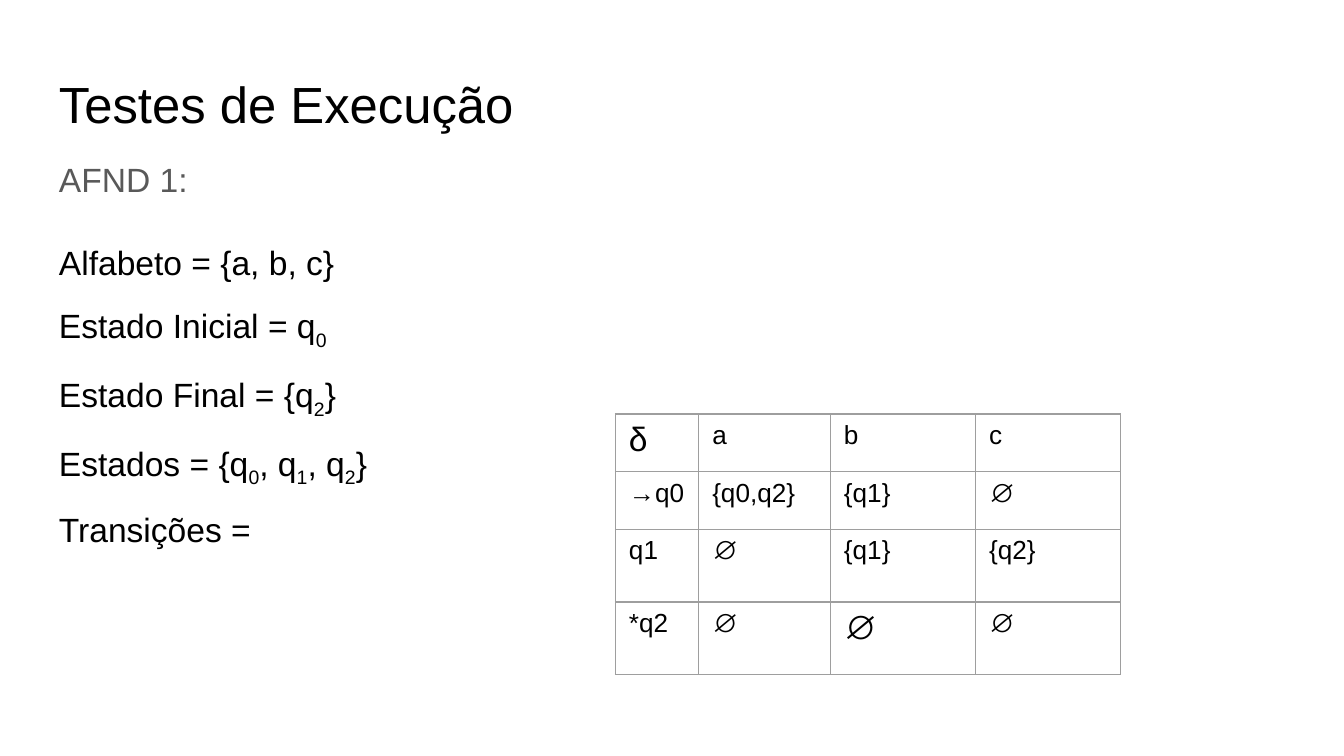
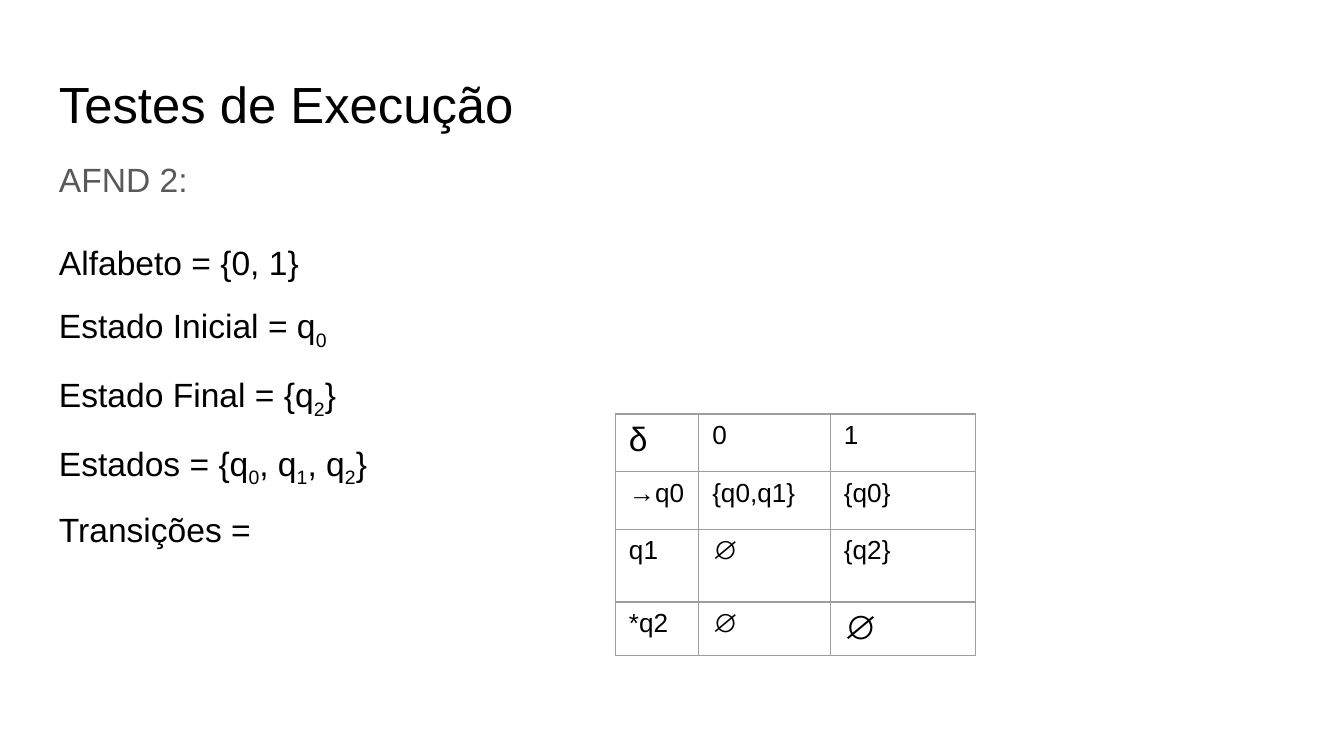
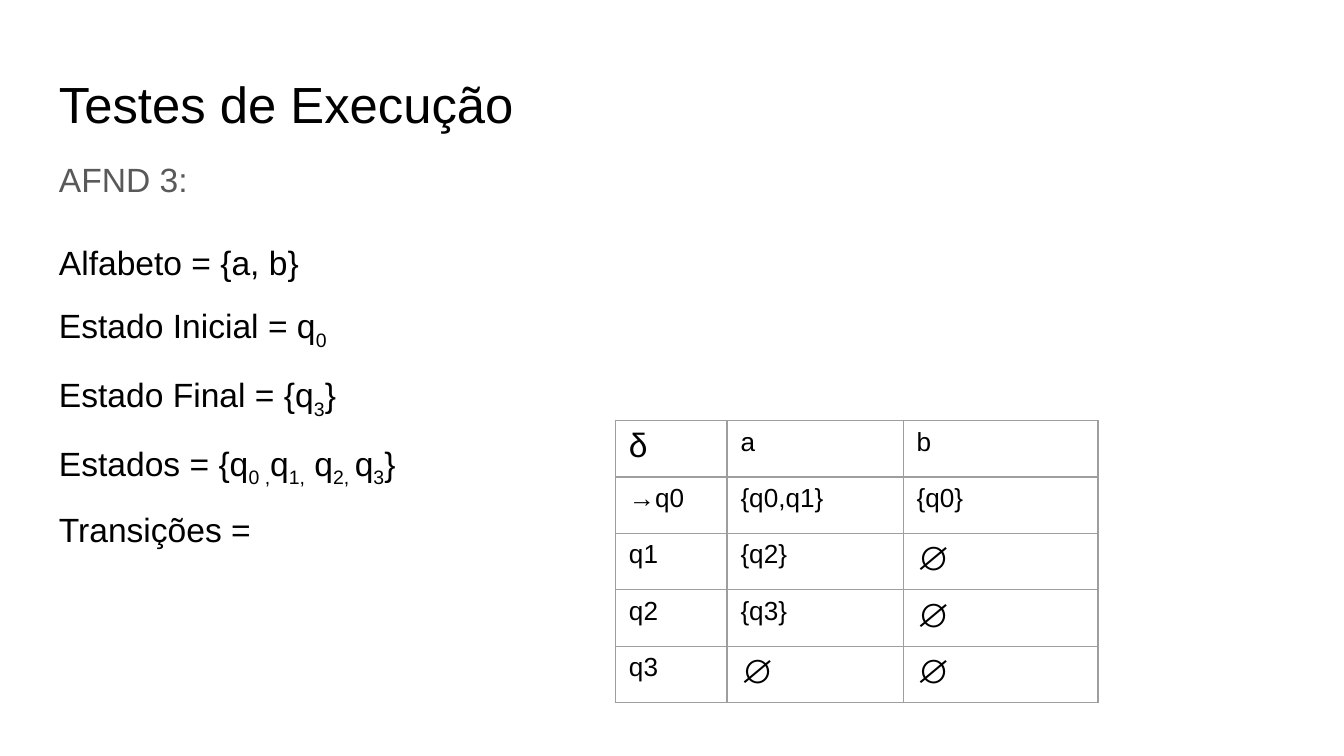
import pptx
import pptx.dml.color
import pptx.enum.text
import pptx.oxml
import pptx.oxml.ns
import pptx.util
from pptx.util import Inches

BLACK, GRAY, BORDER = "000000", "595959", "9E9E9E"


def color(value):
    return pptx.dml.color.RGBColor.from_string(value)


class Deck:
    font = "Arial"
    left, width, inset = 0.34, 9.32, 0.1
    title_size, body_size, cell_size = 27.2, 18, 14
    border_width = 0.75

    def __init__(self):
        self.presentation = pptx.Presentation()
        self.presentation.slide_width = Inches(10)
        self.presentation.slide_height = Inches(10 * 9 / 16)
        self.slide = None

    def new_slide(self):
        blank = self.presentation.slide_layouts[6]
        self.slide = self.presentation.slides.add_slide(blank)

    def run(self, paragraph, text, size, shade=BLACK, subscript=False):
        run = paragraph.add_run()
        run.text = text
        run.font.name = self.font
        run.font.size = pptx.util.Pt(size)
        run.font.color.rgb = color(shade)
        if subscript:
            run.font._element.set("baseline", "-25000")

    def text_frame(self, top, height):
        box = self.slide.shapes.add_textbox(
            Inches(self.left), Inches(top), Inches(self.width), Inches(height))
        frame = box.text_frame
        frame.word_wrap = True
        frame.vertical_anchor = pptx.enum.text.MSO_ANCHOR.TOP
        frame.margin_left = frame.margin_right = Inches(self.inset)
        frame.margin_top = frame.margin_bottom = Inches(self.inset)
        return frame

    def title(self, text):
        paragraph = self.text_frame(0.49, 0.63).paragraphs[0]
        paragraph.line_spacing = 0.9
        self.run(paragraph, text, self.title_size)

    def definition(self, heading, lines, height):
        frame = self.text_frame(1.04, height)
        paragraph = frame.paragraphs[0]
        paragraph.line_spacing = 1.15
        self.run(paragraph, heading, self.body_size, GRAY)
        for index, line in enumerate(lines):
            paragraph = frame.add_paragraph()
            paragraph.line_spacing = 1.5
            if index == 0:
                paragraph.space_before = pptx.util.Pt(12)
            for position, part in enumerate(line.split("_")):
                if part:
                    self.run(paragraph, part, self.body_size,
                             subscript=position % 2 == 1)

    def cell_borders(self, cell):
        properties = cell._tc.get_or_add_tcPr()
        width = pptx.util.Pt(self.border_width)
        for index, side in enumerate(("lnL", "lnR", "lnT", "lnB")):
            properties.insert(index, pptx.oxml.parse_xml(
                f'<a:{side} {pptx.oxml.ns.nsdecls("a")} w="{width}">'
                f'<a:solidFill><a:srgbClr val="{BORDER}"/></a:solidFill>'
                f'</a:{side}>'))

    def transitions(self, top, widths, heights, rows, large):
        frame = self.slide.shapes.add_table(
            len(heights), len(widths), Inches(4.58), Inches(top),
            Inches(sum(widths)), Inches(sum(heights)))
        table = frame.table
        table.first_row = table.horz_banding = False
        for column, width in zip(table.columns, widths):
            column.width = Inches(width)
        for row, height in zip(table.rows, heights):
            row.height = Inches(height)
        for r, values in enumerate(rows):
            for c, value in enumerate(values):
                cell = table.cell(r, c)
                cell.fill.background()
                cell.margin_left = cell.margin_right = Inches(self.inset)
                cell.margin_top = cell.margin_bottom = Inches(0.05)
                size = self.body_size if (r, c) in large else self.cell_size
                self.run(cell.text_frame.paragraphs[0], value, size)
                self.cell_borders(cell)


THREE_STATES = "q_0_, q_1_, q_2_"
AUTOMATA = [
    dict(alphabet="a, b, c", final="q_2_", states=THREE_STATES,
         body_height=1.77, top=3.08,
         widths=[0.62, 0.98, 1.08, 1.08], heights=[0.43, 0.43, 0.54, 0.54],
         rows=[["δ", "a", "b", "c"],
               ["→q0", "{q0,q2}", "{q1}", "∅"],
               ["q1", "∅", "{q1}", "{q2}"],
               ["*q2", "∅", "∅", "∅"]],
         large={(0, 0), (3, 2)}),
    dict(alphabet="0, 1", final="q_2_", states=THREE_STATES,
         body_height=2.42, top=3.08,
         widths=[0.62, 0.98, 1.08], heights=[0.43, 0.43, 0.54, 0.38],
         rows=[["δ", "0", "1"],
               ["→q0", "{q0,q1}", "{q0}"],
               ["q1", "∅", "{q2}"],
               ["*q2", "∅", "∅"]],
         large={(0, 0), (3, 2)}),
    dict(alphabet="a, b", final="q_3_", states="q_0 ,_q_1,_ q_2, _q_3_",
         body_height=2.42, top=3.13,
         widths=[0.83, 1.31, 1.45], heights=[0.42] * 5,
         rows=[["δ", "a", "b"],
               ["→q0", "{q0,q1}", "{q0}"],
               ["q1", "{q2}", "∅"],
               ["q2", "{q3}", "∅"],
               ["q3", "∅", "∅"]],
         large={(0, 0), (2, 2), (3, 2), (4, 1), (4, 2)}),
]


def main():
    deck = Deck()
    for number, automaton in enumerate(AUTOMATA, 1):
        deck.new_slide()
        deck.title("Testes de Execução")
        deck.definition(f"AFND {number}:", [
            f"Alfabeto = {{{automaton['alphabet']}}}",
            "Estado Inicial = q_0_",
            f"Estado Final = {{{automaton['final']}}}",
            f"Estados = {{{automaton['states']}}}",
            "Transições =",
        ], automaton["body_height"])
        deck.transitions(automaton["top"], automaton["widths"],
                         automaton["heights"], automaton["rows"],
                         automaton["large"])
    deck.presentation.save("out.pptx")


if __name__ == "__main__":
    main()
